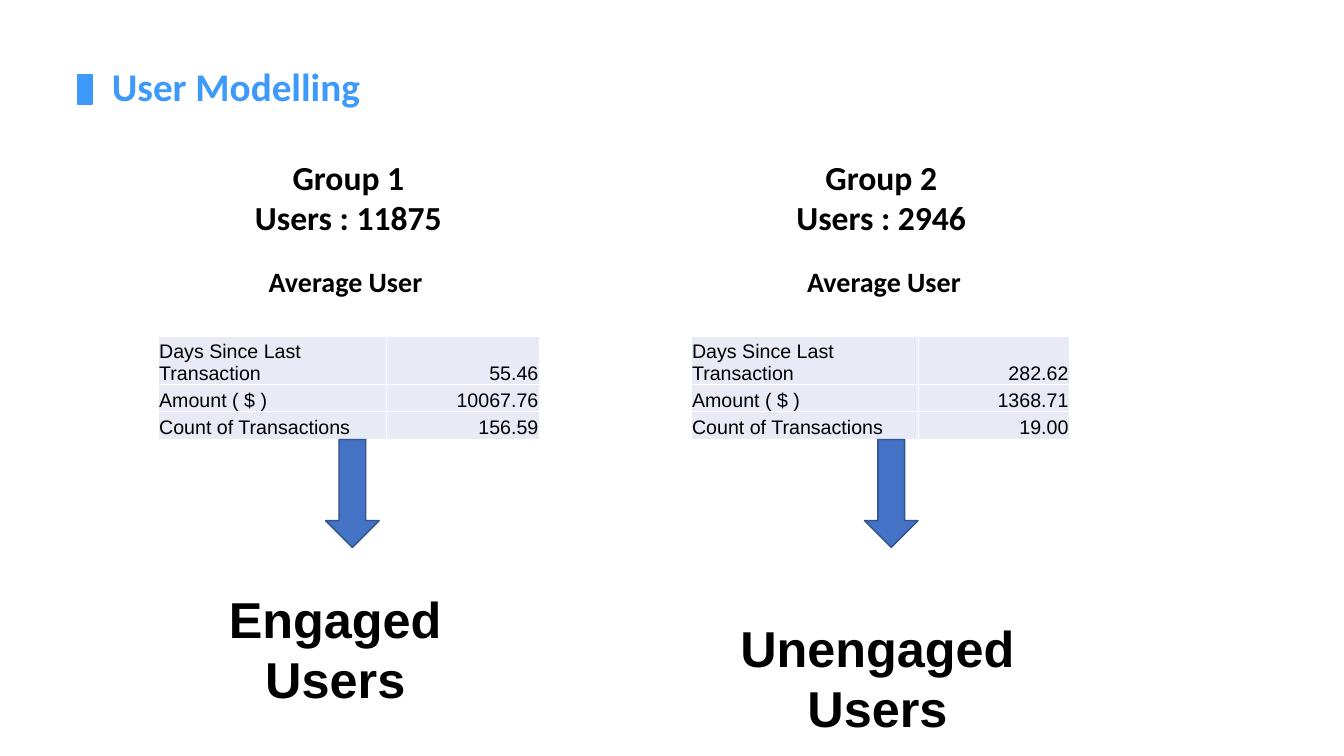
from pptx import Presentation
from pptx.dml.color import RGBColor
from pptx.enum.shapes import MSO_SHAPE as Shape
from pptx.enum.text import MSO_ANCHOR as Anchor, MSO_AUTO_SIZE as Fit, PP_ALIGN as Align
from pptx.util import Cm, Pt

HUES = {"sky": "3D9AFA", "ink": "000000", "cell": "E8EBF5",
        "arrow": "4472C4", "edge": "31538F"}
LABELS = ["Days Since Last Transaction", "Amount ( $ )", "Count of Transactions"]


def hue(name):
    return RGBColor.from_string(HUES[name])


def place(box):
    return [Cm(n) for n in box]


def style(para, size, face="Calibri", bold=True, tint="ink", align=Align.LEFT):
    para.alignment = align
    font = para.font
    font.size, font.name, font.bold = Pt(size), face, bold
    font.color.rgb = hue(tint)


def add_text(slide, box, lines, size, face="Calibri", align=Align.CENTER,
             anchor=Anchor.MIDDLE, inset=0.25):
    frame = slide.shapes.add_textbox(*place(box)).text_frame
    frame.word_wrap = True
    frame.vertical_anchor = anchor
    frame.margin_left = Cm(inset)
    frame.text = "\n".join(lines)
    for para in frame.paragraphs:
        style(para, size, face, align=align)


def add_block(slide, kind, box, fill, line):
    block = slide.shapes.add_shape(kind, *place(box))
    block.shadow.inherit = False
    block.fill.solid()
    block.fill.fore_color.rgb = hue(fill)
    block.line.color.rgb = hue(line)
    block.line.width = Pt(1)
    return block


def add_head(slide, box):
    x, y, w, h = box
    title = slide.shapes.title
    title.left, title.top, title.width, title.height = place((x + 0.38, y, w, h))
    frame = title.text_frame
    frame.text = "User Modelling"
    frame.auto_size = Fit.NONE
    frame.vertical_anchor = Anchor.MIDDLE
    frame.margin_left = Cm(0.48)
    para = frame.paragraphs[0]
    para.line_spacing = 0.9
    style(para, 28, tint="sky")
    add_block(slide, Shape.RECTANGLE, (x, y + 0.46, 0.36, 0.74), "sky", "sky")


def add_stats(slide, box, values):
    x, y, w, h = box
    table = slide.shapes.add_table(len(LABELS), 2, *place(box)).table
    table.first_row = table.horz_banding = False
    for col, part in zip(table.columns, (0.6, 0.4)):
        col.width = Cm(w * part)
    for r, pair in enumerate(zip(LABELS, values)):
        table.rows[r].height = Cm(h / len(LABELS))
        for c, (text, align) in enumerate(zip(pair, (Align.LEFT, Align.RIGHT))):
            cell = table.cell(r, c)
            cell.text = text
            cell.fill.solid()
            cell.fill.fore_color.rgb = hue("cell")
            cell.vertical_anchor = Anchor.BOTTOM
            cell.margin_left = cell.margin_right = cell.margin_top = Cm(0.02)
            cell.margin_bottom = 0
            style(cell.text_frame.paragraphs[0], 14, "Arial", False, align=align)


def add_group(slide, box, name, count, values, inset, shift, kind, spot, anchor):
    x, y, w = box
    dx, dy, wide, high = spot
    add_text(slide, (x + 0.36, y, 8.86, 2.67), [name, f"Users : {count}"], 24)
    add_text(slide, (x + 1.56, y + 2.92, 7.29, 1.12), ["Average User"], 20,
             align=Align.LEFT, anchor=Anchor.TOP, inset=inset)
    add_stats(slide, (x, y + 4.85, w, 2.07), values)
    arrow = add_block(slide, Shape.RIGHT_ARROW, (x + shift, y + 8.13, 2.72, 1.35),
                      "arrow", "edge")
    arrow.rotation = 90
    add_text(slide, (x + dx, y + dy, wide, high), [f"{kind} Users"], 36, "Arial",
             anchor=anchor)


def main():
    deck = Presentation()
    deck.slide_width, deck.slide_height = Cm(33.87), Cm(19.05)
    slide = deck.slides.add_slide(deck.slide_layouts[5])
    add_head(slide, (1.96, 1.42, 11.89, 1.65))
    add_group(slide, (3.99, 3.63, 9.6), "Group 1", 11875,
              ["55.46", "10067.76", "156.59"], 1.22, 3.53,
              "Engaged", (-0.33, 11.41, 9.58, 2.59), Anchor.MIDDLE)
    add_group(slide, (17.42, 3.63, 9.53), "Group 2", 2946,
              ["282.62", "1368.71", "19.00"], 1.36, 3.68,
              "Unengaged", (-0.5, 11.79, 10.39, 1.8), Anchor.TOP)
    deck.save("out.pptx")


if __name__ == "__main__":
    main()
